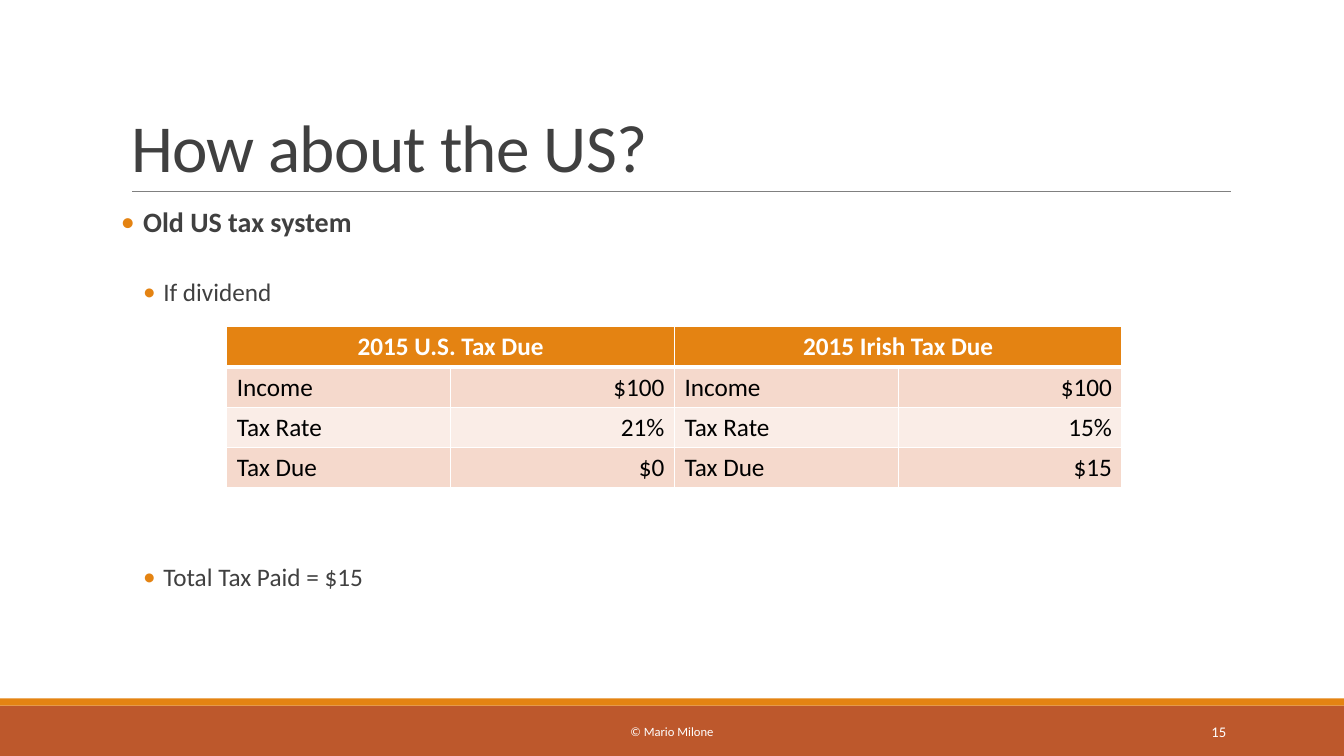
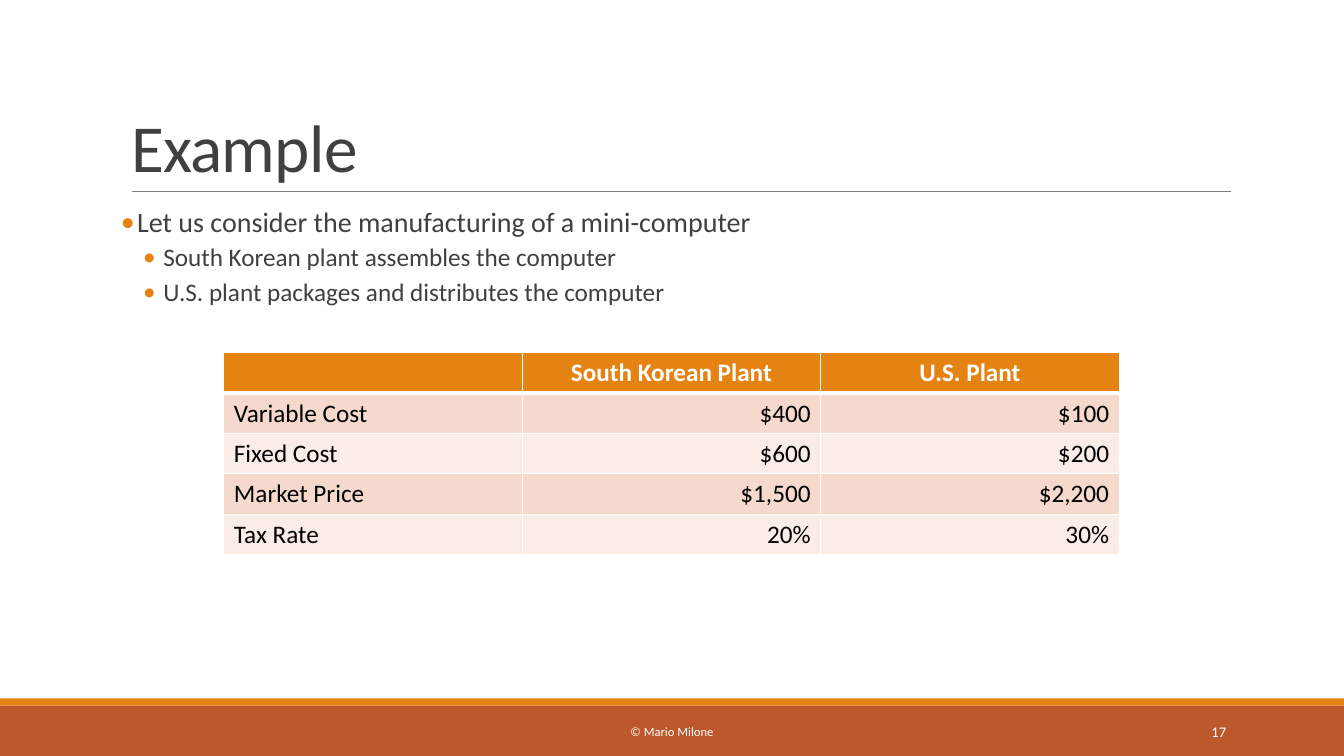
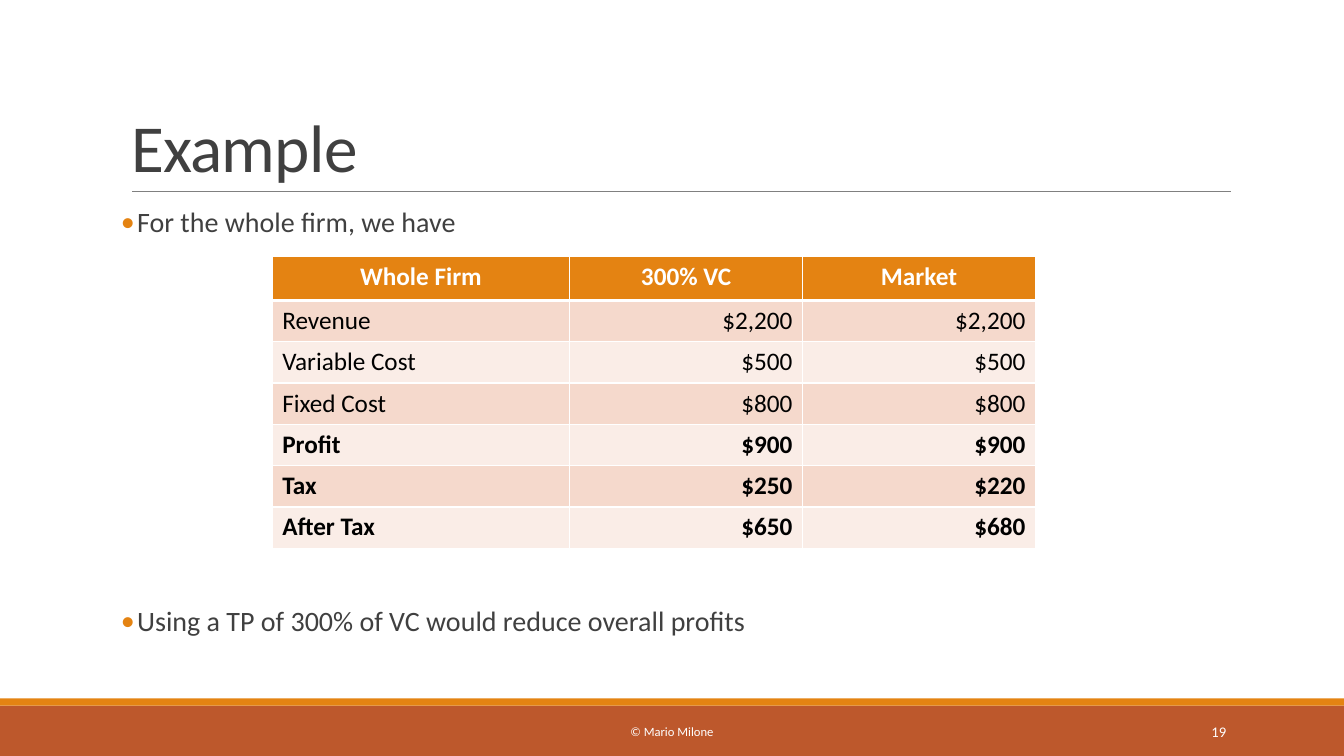
from dataclasses import dataclass
from typing import Any, Optional

import lxml.etree
import pptx
import pptx.dml.color
import pptx.enum.shapes
import pptx.enum.text
import pptx.oxml
import pptx.oxml.ns
import pptx.util

Inches = pptx.util.Inches
Pt = pptx.util.Pt
Align = pptx.enum.text.PP_ALIGN
Anchor = pptx.enum.text.MSO_ANCHOR
qn = pptx.oxml.ns.qn

COLORS = {
    "text": "404040", "accent": "E48312", "footer": "BD582C", "rule": "808080",
    "white": "FFFFFF", "black": "000000", "band_dark": "F5D9CC", "band_light": "FAEDE7",
}
FONT = "Calibri"
SLIDE_WIDTH, SLIDE_HEIGHT = 13.33, 7.5
TITLE_ONLY = 5
TEXT_COLUMN = (1.2, 11)  # left and width shared by title and body


@dataclass
class Bullet:
    """A bulleted line; margin and hanging are in inches, spacing in points."""
    text: str
    size: float = 20
    margin: float = 0.16
    hanging: float = 0.16
    before: float = 12
    after: float = 2
    bold: bool = False


@dataclass
class TableSpec:
    """A banded table; a None cell is covered by the header to its left."""
    left: float
    top: float
    columns: list[float]
    rows: list[list[Optional[str]]]
    header_height: float = 0.4
    row_height: float = 0.4
    bold_from: int = 99


@dataclass
class SlideSpec:
    """The content of one slide."""
    title: str
    number: int
    bullets: list[Bullet]
    table: TableSpec


def sub_bullet(text: str, before: float = 2, ) -> Bullet:
    """Return a second-level bullet."""
    return Bullet(text, size=18, margin=0.42, hanging=0.2, before=before, after=4)


def rgb(color: str) -> pptx.dml.color.RGBColor:
    """Look up a named colour."""
    return pptx.dml.color.RGBColor.from_string(COLORS[color])


def apply_format(target: Any, values: dict[str, Any]) -> None:
    """Set every attribute in values on target."""
    for name, value in values.items():
        setattr(target, name, value)


def write_text(paragraph: Any, text: str, size: float, color: str,
               bold: bool = False, **layout: Any) -> Any:
    """Add one formatted run to a paragraph and return the run."""
    run = paragraph.add_run()
    run.text = text
    apply_format(run.font, {"name": FONT, "size": Pt(size), "bold": bold})
    run.font.color.rgb = rgb(color)
    apply_format(paragraph, layout)
    return run


def add_band(slide: Any, top: float, height: float, color: str) -> None:
    """Draw a full-width band."""
    band = slide.shapes.add_shape(
        pptx.enum.shapes.MSO_SHAPE.RECTANGLE,
        Inches(0), Inches(top), Inches(SLIDE_WIDTH), Inches(height))
    band.shadow.inherit = False
    band.fill.solid()
    band.fill.fore_color.rgb = rgb(color)
    band.line.fill.background()


def add_title_rule(slide: Any) -> None:
    """Draw the thin line under the title."""
    rule = slide.shapes.add_connector(
        pptx.enum.shapes.MSO_CONNECTOR.STRAIGHT,
        Inches(1.31), Inches(1.9), Inches(12.21), Inches(1.9))
    rule.line.color.rgb = rgb("rule")
    rule.line.width = Pt(0.5)
    lxml.etree.SubElement(rule._element.spPr, qn("a:effectLst"))


def add_footer_text(slide: Any, text: str, left: float, width: float,
                    size: float, alignment: Any) -> None:
    """Write white text in the footer band."""
    box = slide.shapes.add_textbox(Inches(left), Inches(7.06), Inches(width), Inches(0.4))
    apply_format(box.text_frame, {"word_wrap": True, "vertical_anchor": Anchor.MIDDLE})
    write_text(box.text_frame.paragraphs[0], text, size, "white", alignment=alignment)


def set_title(slide: Any, text: str) -> None:
    """Place and format the title placeholder."""
    title = slide.shapes.title
    left, width = TEXT_COLUMN
    apply_format(title, {"left": Inches(left), "top": Inches(0.31),
                         "width": Inches(width), "height": Inches(1.59)})
    apply_format(title.text_frame, {"vertical_anchor": Anchor.BOTTOM, "word_wrap": True})
    run = write_text(title.text_frame.paragraphs[0], text, 48, "text",
                     alignment=Align.LEFT, line_spacing=0.85)
    run.font._element.set("spc", "-50")


def add_bullet_mark(paragraph: Any, margin: float, hanging: float) -> None:
    """Give a paragraph a hanging accent-coloured bullet."""
    properties = paragraph._p.get_or_add_pPr()
    properties.set("marL", str(Inches(margin)))
    properties.set("indent", str(-Inches(hanging)))
    bullet_color = lxml.etree.SubElement(properties, qn("a:buClr"))
    lxml.etree.SubElement(bullet_color, qn("a:srgbClr"), val=COLORS["accent"])
    lxml.etree.SubElement(properties, qn("a:buFont"), typeface=FONT)
    lxml.etree.SubElement(properties, qn("a:buChar"), char="•")


def add_body(slide: Any, bullets: list[Bullet]) -> None:
    """Write the bulleted body text."""
    left, width = TEXT_COLUMN
    box = slide.shapes.add_textbox(Inches(left), Inches(2.02), Inches(width), Inches(4.4))
    frame = box.text_frame
    apply_format(frame, {"word_wrap": True, "margin_left": 0, "margin_right": 0})
    for index, bullet in enumerate(bullets):
        paragraph = frame.add_paragraph() if index else frame.paragraphs[0]
        write_text(paragraph, bullet.text, bullet.size, "text", bullet.bold,
                   line_spacing=0.9, space_before=Pt(bullet.before),
                   space_after=Pt(bullet.after))
        add_bullet_mark(paragraph, bullet.margin, bullet.hanging)


def set_borders(cell: Any, row: int) -> None:
    """Draw white cell borders, thicker between header and body."""
    widths = {"L": 1, "R": 1, "T": 3 if row == 1 else 1, "B": 3 if row == 0 else 1}
    properties = cell._tc.get_or_add_tcPr()
    for position, (side, width) in enumerate(widths.items()):
        line = lxml.etree.Element(qn(f"a:ln{side}"), w=str(Pt(width)))
        fill = lxml.etree.SubElement(line, qn("a:solidFill"))
        lxml.etree.SubElement(fill, qn("a:srgbClr"), val=COLORS["white"])
        properties.insert(position, line)


def format_cell(cell: Any, text: Optional[str], row: int, bold: bool) -> None:
    """Fill, border and write one table cell."""
    header = row == 0
    cell.fill.solid()
    band = "band_dark" if row % 2 else "band_light"
    cell.fill.fore_color.rgb = rgb("accent" if header else band)
    set_borders(cell, row)
    if not text:
        return
    is_value = text.startswith("$") or text.endswith("%")
    body_alignment = Align.RIGHT if is_value else Align.LEFT
    write_text(cell.text_frame.paragraphs[0], text, 18,
               "white" if header else "black", header or bold,
               alignment=Align.CENTER if header else body_alignment)


def add_data_table(slide: Any, spec: TableSpec) -> None:
    """Build a table from its specification."""
    height = spec.header_height + spec.row_height * (len(spec.rows) - 1)
    table = slide.shapes.add_table(
        len(spec.rows), len(spec.columns), Inches(spec.left), Inches(spec.top),
        Inches(sum(spec.columns)), Inches(height)).table
    for column, width in zip(table.columns, spec.columns):
        column.width = Inches(width)
    for row, texts in enumerate(spec.rows):
        table.rows[row].height = Inches(spec.row_height if row else spec.header_height)
        for column, text in enumerate(texts):
            cell = table.cell(row, column)
            format_cell(cell, text, row, row >= spec.bold_from)
            if text is None:
                table.cell(row, column - 1).merge(cell)


def add_slide(presentation: Any, spec: SlideSpec) -> None:
    """Build one slide with the shared frame and its own content."""
    slide = presentation.slides.add_slide(presentation.slide_layouts[TITLE_ONLY])
    add_band(slide, 7, 0.5, "footer")
    add_band(slide, 6.93, 0.07, "accent")
    add_title_rule(slide)
    set_title(slide, spec.title)
    add_body(slide, spec.bullets)
    add_footer_text(slide, "© Mario Milone", 4.03, 5.27, 9, Align.CENTER)
    add_footer_text(slide, str(spec.number), 10.83, 1.43, 10.5, Align.RIGHT)
    add_data_table(slide, spec.table)


SLIDES = [
    SlideSpec(
        "How about the US?", 15,
        [Bullet("Old US tax system", margin=0.22, hanging=0.22, bold=True),
         sub_bullet("If dividend", before=27.5),
         sub_bullet("Total Tax Paid = $15", before=180)],
        TableSpec(2.25, 3.24, [2.22] * 4, [
            ["2015 U.S. Tax Due", None, "2015 Irish Tax Due", None],
            ["Income", "$100", "Income", "$100"],
            ["Tax Rate", "21%", "Tax Rate", "15%"],
            ["Tax Due", "$0", "Tax Due", "$15"],
        ])),
    SlideSpec(
        "Example", 17,
        [Bullet("Let us consider the manufacturing of a mini-computer"),
         sub_bullet("South Korean plant assembles the computer"),
         sub_bullet("U.S. plant packages and distributes the computer")],
        TableSpec(2.22, 3.5, [2.96] * 3, [
            ["", "South Korean Plant", "U.S. Plant"],
            ["Variable Cost", "$400", "$100"],
            ["Fixed Cost", "$600", "$200"],
            ["Market Price", "$1,500", "$2,200"],
            ["Tax Rate", "20%", "30%"],
        ])),
    SlideSpec(
        "Example", 19,
        [Bullet("For the whole firm, we have"),
         Bullet("Using a TP of 300% of VC would reduce overall profits", before=261)],
        TableSpec(2.7, 2.54, [2.95, 2.31, 2.31], [
            ["Whole Firm", "300% VC", "Market"],
            ["Revenue", "$2,200", "$2,200"],
            ["Variable Cost", "$500", "$500"],
            ["Fixed Cost", "$800", "$800"],
            ["Profit", "$900", "$900"],
            ["Tax", "$250", "$220"],
            ["After Tax", "$650", "$680"],
        ], header_height=0.44, row_height=0.41, bold_from=4)),
]


def main() -> None:
    """Create and save the presentation."""
    presentation = pptx.Presentation()
    presentation.slide_width = Inches(SLIDE_WIDTH)
    presentation.slide_height = Inches(SLIDE_HEIGHT)
    for spec in SLIDES:
        add_slide(presentation, spec)
    presentation.save("out.pptx")


main()
